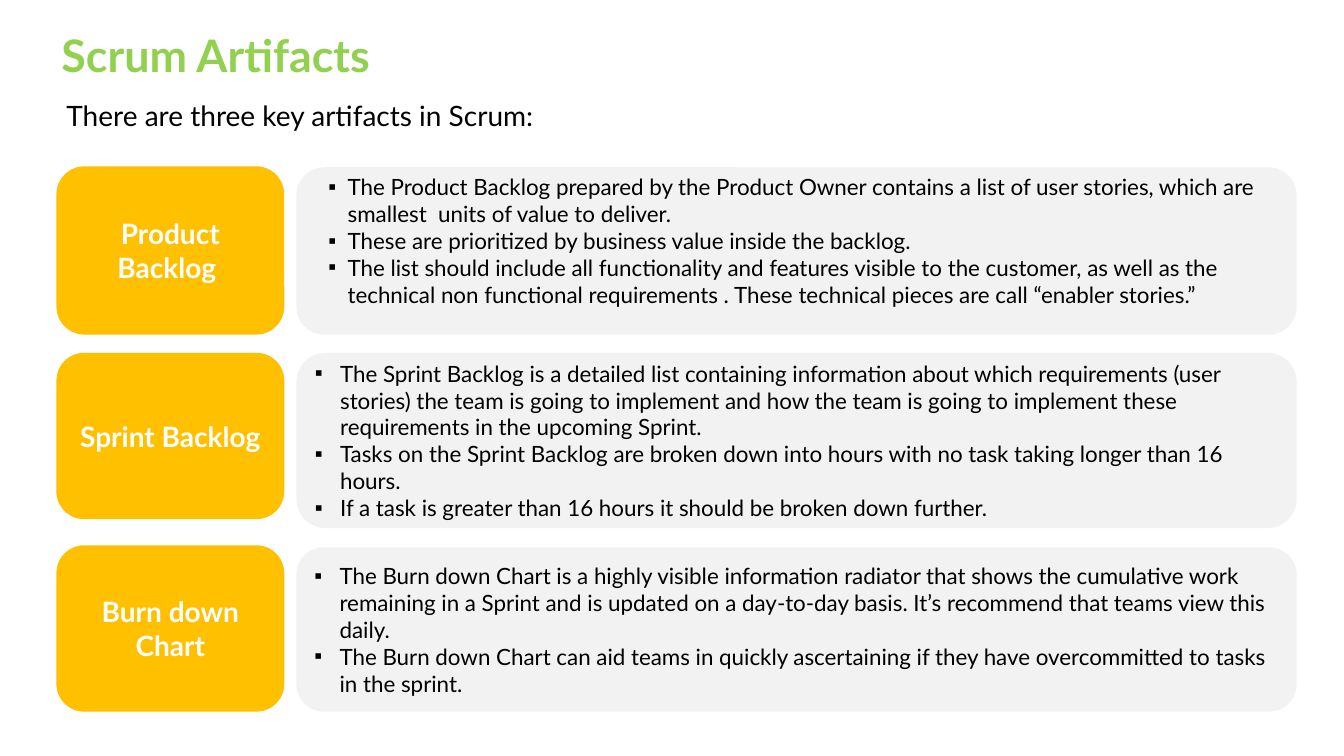
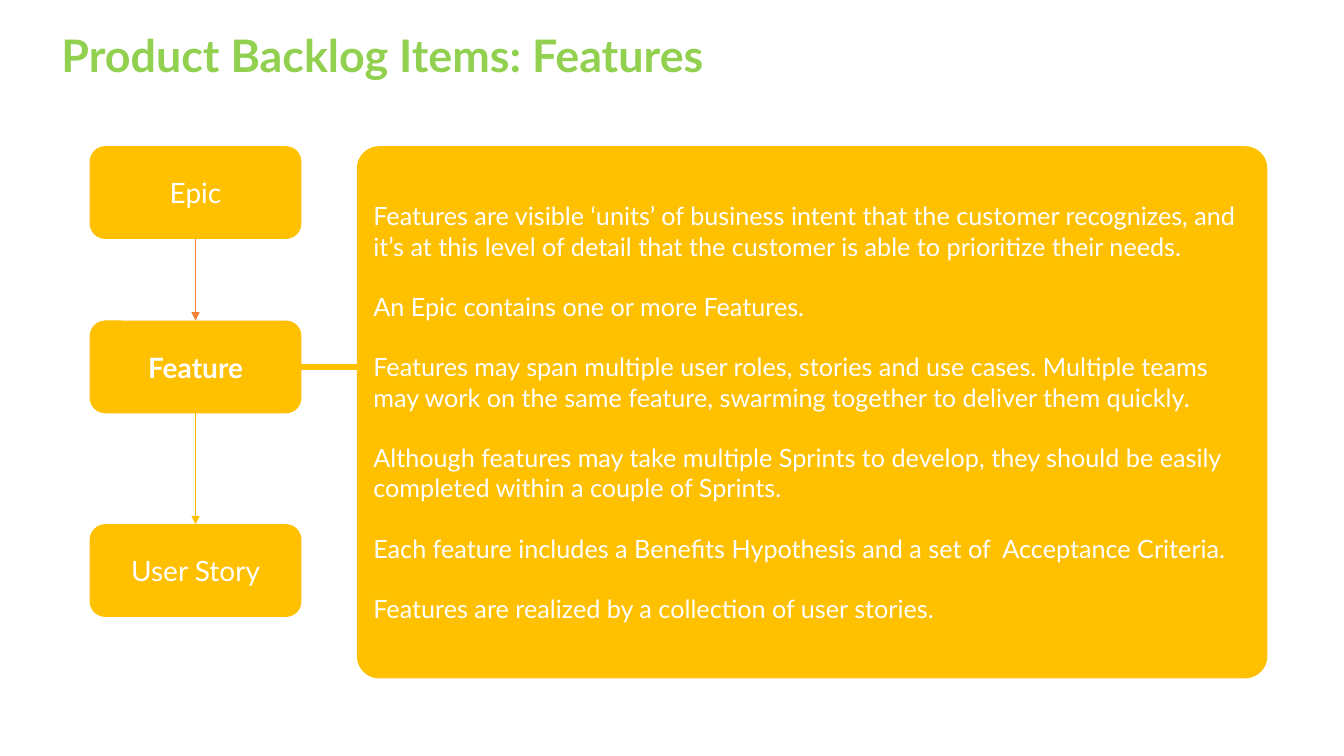
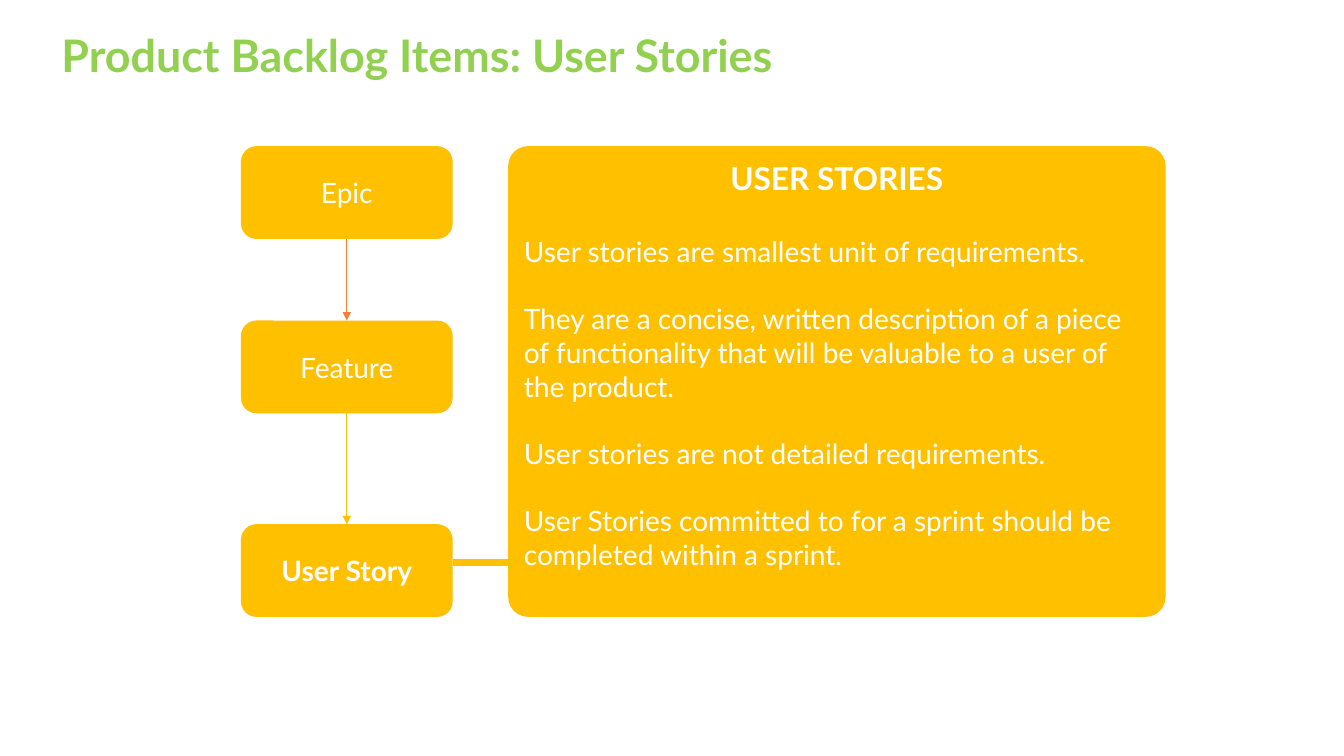
from dataclasses import dataclass

from lxml.etree import SubElement
from pptx import Presentation
from pptx.dml.color import RGBColor
from pptx.enum.shapes import MSO_CONNECTOR, MSO_SHAPE
from pptx.enum.text import MSO_ANCHOR, PP_ALIGN
from pptx.oxml.ns import qn
from pptx.util import Inches, Pt


@dataclass(frozen=True)
class Theme:
    font: str = "Lato"
    green: str = "92D050"
    amber: str = "FFC000"
    orange: str = "F38134"
    grey: str = "F2F2F2"
    black: str = "000000"
    white: str = "FFFFFF"
    title: float = 32
    heading: float = 22.5
    label: float = 20
    body: float = 18
    bullet: float = 16
    line_height: float = 1.2
    thin: float = 0.5
    thick: float = 4.5


T = Theme()


# Text and shape helpers
def set_frame(tf, **formats):
    for name, value in {"word_wrap": True, **formats}.items():
        setattr(tf, name, value)


def write(tf, lines, size, color, bold=False, align=PP_ALIGN.LEFT, **formats):
    """Fill the frame; a line is a string, or a (string, font formats) pair."""
    for i, line in enumerate(lines):
        text, special = line if isinstance(line, tuple) else (line, {})
        p = tf.paragraphs[0] if i == 0 else tf.add_paragraph()
        r = p.add_run()
        r.text = text
        r.font.color.rgb = RGBColor.from_string(color)
        font = {"name": T.font, "size": Pt(size), "bold": bold, **special}
        for name, value in font.items():
            setattr(r.font, name, value)
        for name, value in {"alignment": align, **formats}.items():
            setattr(p, name, value)


def add_bullets(tf, lines, indent):
    write(tf, lines, T.bullet, T.black)
    for p in tf.paragraphs:
        pPr = p._p.get_or_add_pPr()
        pPr.set("marL", str(Inches(indent)))
        pPr.set("indent", str(-Inches(indent)))
        SubElement(pPr, qn("a:buFont"), typeface="Arial")
        SubElement(pPr, qn("a:buChar"), char="▪")


def add_text(s, box, **frame):
    tb = s.shapes.add_textbox(*map(Inches, box))
    set_frame(tb.text_frame, **frame)
    return tb.text_frame


def add_box(s, box, fill, corner=None):
    sp = s.shapes.add_shape(MSO_SHAPE.ROUNDED_RECTANGLE, *map(Inches, box))
    sp.shadow.inherit = False
    sp.fill.solid()
    sp.fill.fore_color.rgb = RGBColor.from_string(fill)
    sp.line.fill.background()
    if corner is not None:
        sp.adjustments[0] = corner
    set_frame(sp.text_frame, vertical_anchor=MSO_ANCHOR.MIDDLE)
    return sp


def add_label(s, box, text, bold):
    sp = add_box(s, box, T.amber)
    write(sp.text_frame, [text], T.label, T.white, bold, PP_ALIGN.CENTER)
    return sp


def add_line(s, start, end, color, width, arrow=False):
    ends = map(Inches, (*start, *end))
    cx = s.shapes.add_connector(MSO_CONNECTOR.STRAIGHT, *ends)
    cx.line.color.rgb = RGBColor.from_string(color)
    cx.line.width = Pt(width)
    spPr = cx._element.spPr
    if arrow:
        SubElement(spPr.find(qn("a:ln")), qn("a:tailEnd"), type="triangle")
    SubElement(spPr, qn("a:effectLst"))
    return cx


def new_slide(prs, title):
    s = prs.slides.add_slide(prs.slide_layouts[6])
    inset = Inches(0.05)
    tf = add_text(s, (0.56, 0.25, 12.94, 0.68),
                  vertical_anchor=MSO_ANCHOR.MIDDLE, margin_left=inset,
                  margin_right=inset, margin_top=inset, margin_bottom=inset)
    write(tf, [title], T.title, T.green, True, line_spacing=0.8)
    return s


# Artifact slide: a label and a bulleted panel in each row
def artifact_row(s, label_box, panel_top, panel_height, name, bullets,
                 separate_text=False):
    add_label(s, label_box, name, True)
    left, width = 2.94, 9.92
    panel = add_box(s, (left, panel_top, width, panel_height), T.grey)
    if separate_text:
        tf = add_text(s, (left + 0.22, panel_top + 0.01, width - 0.46, 1.72))
        add_bullets(tf, bullets, 0.19)
    else:
        add_bullets(panel.text_frame, bullets, 0.25)


def artifacts_slide(prs):
    s = new_slide(prs, "Scrum Artifacts")
    tf = add_text(s, (0.56, 0.93, 11.81, 0.44))
    write(tf, ["There are three key artifacts in Scrum:"], T.label, T.black)
    left, width = 0.56, 2.26
    artifact_row(s, (left, 1.65, width, 1.67), 1.66, 1.66, "Product Backlog ", [
        "The Product Backlog prepared by the Product Owner contains a list of "
        "user stories, which are smallest  units of value to deliver.",
        "These are prioritized by business value inside the backlog.",
        "The list should include all functionality and features visible to "
        "the customer, as well as the technical non functional requirements . "
        "These technical pieces are call “enabler stories.”",
    ], separate_text=True)
    artifact_row(s, (left, 3.5, width, 1.65), 3.5, 1.74, "Sprint Backlog", [
        "The Sprint Backlog is a detailed list containing information about "
        "which requirements (user stories) the team is going to implement and "
        "how the team is going to implement these requirements in the "
        "upcoming Sprint.",
        "Tasks on the Sprint Backlog are broken down into hours with no task "
        "taking longer than 16 hours.",
        "If a task is greater than 16 hours it should be broken down further.",
    ])
    artifact_row(s, (left, 5.41, width, 1.65), 5.43, 1.63, "Burn down Chart", [
        "The Burn down Chart is a highly visible information radiator that "
        "shows the cumulative work remaining in a Sprint and is updated on a "
        "day-to-day basis. It’s recommend that teams view this daily.",
        "The Burn down Chart can aid teams in quickly ascertaining if they "
        "have overcommitted to tasks in the sprint.",
    ])


# Backlog item slides: a chain of items, one of them tied to a panel
def item_chain(s, left, top, current):
    width, height = 2.1, 0.92
    offsets = {"Epic": 0, "Feature": 1.73, "User Story": 3.75}
    items = [add_label(s, (left, top + dy, width, height), name, name == current)
             for name, dy in offsets.items()]
    for upper, lower, color in zip(items, items[1:], (T.orange, T.amber)):
        cx = add_line(s, (left, top), (left, top), color, T.thin, arrow=True)
        cx.begin_connect(upper, 2)
        cx.end_connect(lower, 0)


def item_slide(prs, title, current, left, panel_size, tie_y, lines, size,
               bottom_inset=0.05):
    s = new_slide(prs, title)
    top, panel_left = 1.45, left + 2.65
    item_chain(s, left, top, current)
    panel = add_box(s, (panel_left, top, *panel_size), T.amber, 0.042)
    tf = panel.text_frame
    set_frame(tf, margin_bottom=Inches(bottom_inset))
    write(tf, lines, size, T.white)
    for p, above in zip(tf.paragraphs[1:], tf.paragraphs):
        p.space_before = Pt(above.runs[0].font.size.pt * T.line_height)
    add_line(s, (left + 2.1, tie_y), (panel_left, tie_y), T.amber, T.thick)
    return tf


def features_slide(prs):
    item_slide(prs, "Product Backlog Items: Features", "Feature", 0.89,
               (9.03, 5.28), 3.64, [
        "Features are visible ‘units’ of business intent that the customer "
        "recognizes, and it’s at this level of detail that the customer is "
        "able to prioritize their needs.",
        "An Epic contains one or more Features.",
        "Features may span multiple user roles, stories and use cases. "
        "Multiple teams may work on the same feature, swarming together to "
        "deliver them quickly.",
        "Although features may take multiple Sprints to develop, they should "
        "be easily completed within a couple of Sprints.",
        "Each feature includes a Benefits Hypothesis and a set of  Acceptance "
        "Criteria.",
        "Features are realized by a collection of user stories.",
    ], T.body)


def stories_slide(prs):
    tf = item_slide(prs, "Product Backlog Items: User Stories", "User Story",
                    2.39, (6.52, 4.67), 5.58, [
        ("USER STORIES", {"size": Pt(T.heading), "bold": True}),
        "User stories are smallest unit of requirements.",
        "They are a concise, written description of a piece of functionality "
        "that will be valuable to a user of the product.",
        "User stories are not detailed requirements.",
        "User Stories committed to for a sprint should be completed within a "
        "sprint.",
    ], T.label, bottom_inset=0.38)
    tf.paragraphs[0].alignment = PP_ALIGN.CENTER


def main():
    prs = Presentation()
    prs.slide_width, prs.slide_height = Inches(13.33), Inches(7.5)
    artifacts_slide(prs)
    features_slide(prs)
    stories_slide(prs)
    prs.save("out.pptx")


if __name__ == "__main__":
    main()
